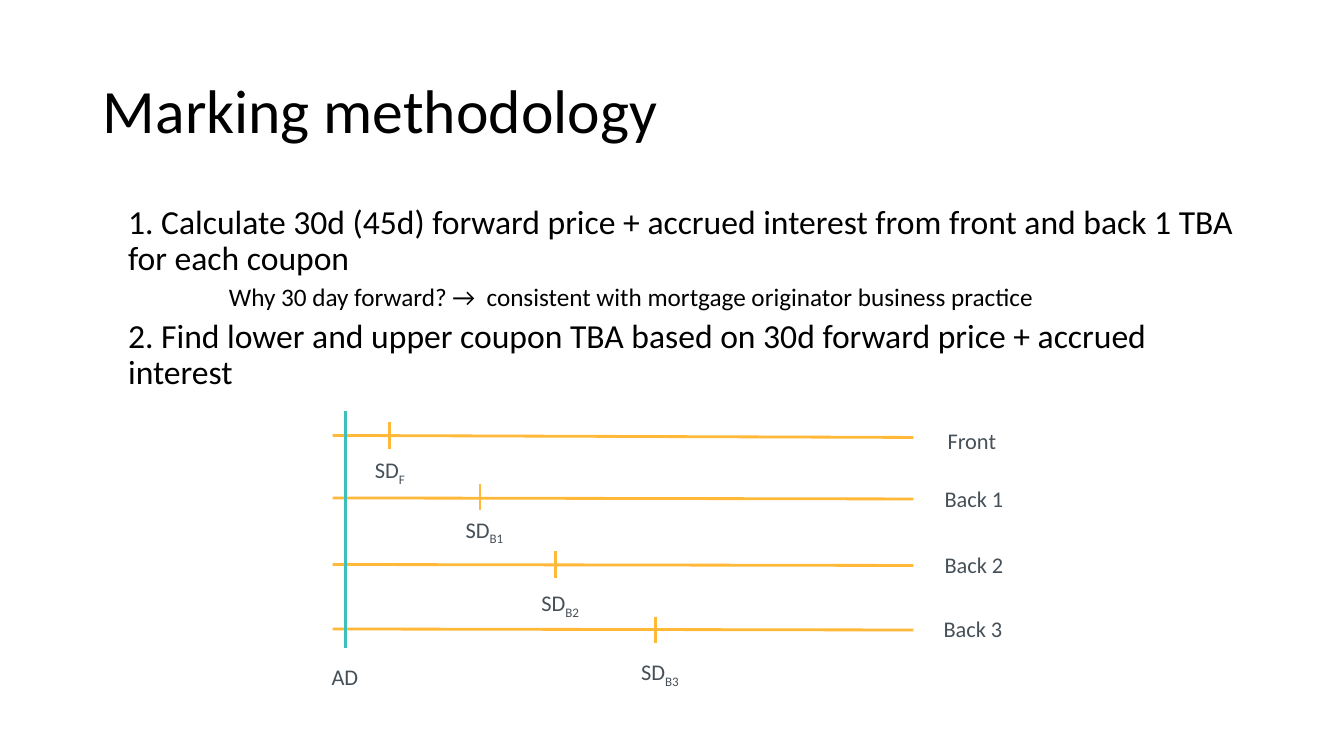
from dataclasses import dataclass

from lxml import etree
from pptx import Presentation, util as u
from pptx.dml.color import RGBColor
from pptx.enum import shapes, text
from pptx.oxml import ns

PX = 9144
FONT = "Calibri"
COLORS = {"text": "000000", "label": "465058", "track": "FFB838", "today": "3BC0BA"}
TRACK_LEFT, TRACK_RIGHT = 330, 906
TICK_HEIGHT, LABEL_HEIGHT = 26, 37


@dataclass(frozen=True)
class Track:
    name: str
    name_left: int
    name_top: int
    y: int
    y_end: int
    tick_x: int
    tick_top: int
    sub: str
    sub_top: int
    sub_width: int


@dataclass(frozen=True)
class Item:
    words: str
    size: int
    first_indent: int = 0


TRACKS = [
    Track("Front", 930, 419, 432, 434, 386, 419, "F", 448, 58),
    Track("Back 1", 927, 476, 494, 495, 476, 480, "B1", 507, 100),
    Track("Back 2", 927, 542, 560, 561, 551, 547, "B2", 580, 71),
    Track("Back 3", 926, 605, 624, 625, 650, 612, "B3", 648, 71),
]

ITEMS = [
    Item("1. Calculate 30d (45d) forward price + accrued interest from front "
         "and back 1 TBA for each coupon", 24),
    Item("Why 30 day forward? →  consistent with mortgage originator business practice",
         18, 100),
    Item("2. Find lower and upper coupon TBA based on 30d forward price + accrued interest", 24),
]


def px(n: int) -> u.Emu:
    return u.Emu(n * PX)


def place(sp, left: int, top: int, width: int, height: int) -> None:
    sp.left, sp.top, sp.width, sp.height = map(px, (left, top, width, height))


def style(p, size: int, color: str) -> None:
    p.font.size = u.Pt(size)
    p.font.name = FONT
    p.font.color.rgb = RGBColor.from_string(COLORS[color])


def add_title(sp, words: str) -> None:
    place(sp, 92, 40, 1150, 145)
    tf = sp.text_frame
    tf.text = words
    tf.auto_size = text.MSO_AUTO_SIZE.NONE
    tf.vertical_anchor = text.MSO_ANCHOR.MIDDLE
    p = tf.paragraphs[0]
    p.alignment = text.PP_ALIGN.LEFT
    p.line_spacing = 0.9
    style(p, 44, "text")


def add_list(sp, items: list[Item]) -> None:
    place(sp, 92, 199, 1150, 476)
    tf = sp.text_frame
    tf.text = "\n".join(item.words for item in items)
    tf.auto_size = text.MSO_AUTO_SIZE.NONE
    for p, item in zip(tf.paragraphs, items):
        p.level = 1
        p.line_spacing = 0.9
        p.space_before = u.Pt(5)
        style(p, item.size, "text")
        pPr = p._p.get_or_add_pPr()
        pPr.set("marL", str(px(25)))
        pPr.set("indent", str(px(item.first_indent)))
        pPr.insert_element_before(etree.Element(ns.qn("a:buNone")), "a:tabLst", "a:defRPr")


def add_label(group, left: int, top: int, width: int, words: str, sub: str = "") -> None:
    sp = group.shapes.add_textbox(px(left), px(top), px(width), px(LABEL_HEIGHT))
    tf = sp.text_frame
    tf.word_wrap = True
    tf.auto_size = text.MSO_AUTO_SIZE.SHAPE_TO_FIT_TEXT
    p = tf.paragraphs[0]
    style(p, 16, "label")
    p.add_run().text = words
    if sub:
        r = p.add_run()
        r.text = sub
        r._r.get_or_add_rPr().set("baseline", "-25000")


def add_line(group, x1: int, y1: int, x2: int, y2: int, color: str, width: float) -> None:
    line = group.shapes.add_connector(
        shapes.MSO_CONNECTOR.STRAIGHT, px(x1), px(y1), px(x2), px(y2))
    line.line.color.rgb = RGBColor.from_string(COLORS[color])
    line.line.width = u.Pt(width)
    etree.SubElement(line._element.spPr, ns.qn("a:effectLst"))


def add_timeline(s) -> None:
    group = s.shapes.add_group_shape()
    for t in TRACKS:
        add_line(group, TRACK_LEFT, t.y, TRACK_RIGHT, t.y_end, "track", 2)
        add_line(group, t.tick_x, t.tick_top, t.tick_x, t.tick_top + TICK_HEIGHT, "track", 2)
        add_label(group, t.tick_x - 24, t.sub_top, t.sub_width, "SD", t.sub)
        add_label(group, t.name_left, t.name_top, 84, t.name)
    add_line(group, 343, 408, 343, 643, "today", 2.25)
    add_label(group, 319, 653, 48, "AD")


def main() -> None:
    prs = Presentation()
    prs.slide_width, prs.slide_height = px(1333), px(750)
    s = prs.slides.add_slide(prs.slide_layouts[1])
    add_title(s.shapes.title, "Marking methodology")
    add_list(s.placeholders[1], ITEMS)
    add_timeline(s)
    prs.save("out.pptx")


if __name__ == "__main__":
    main()
